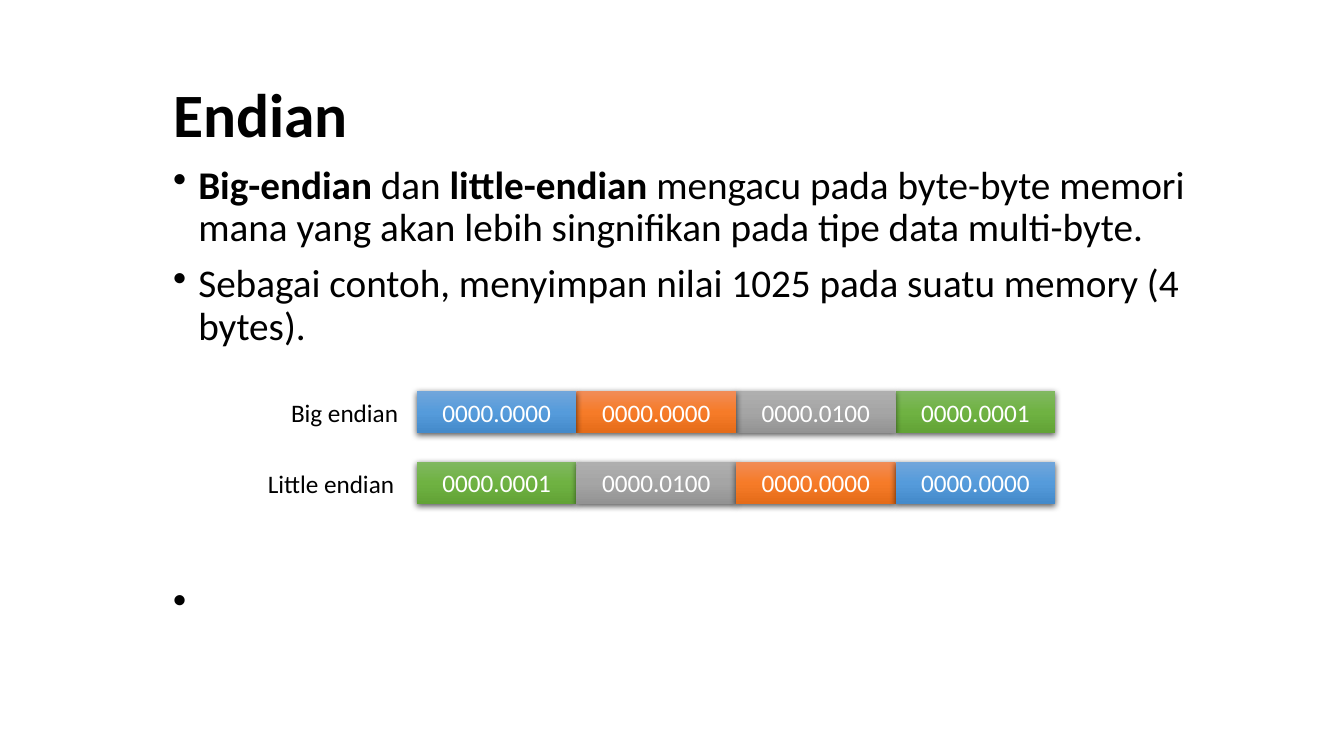
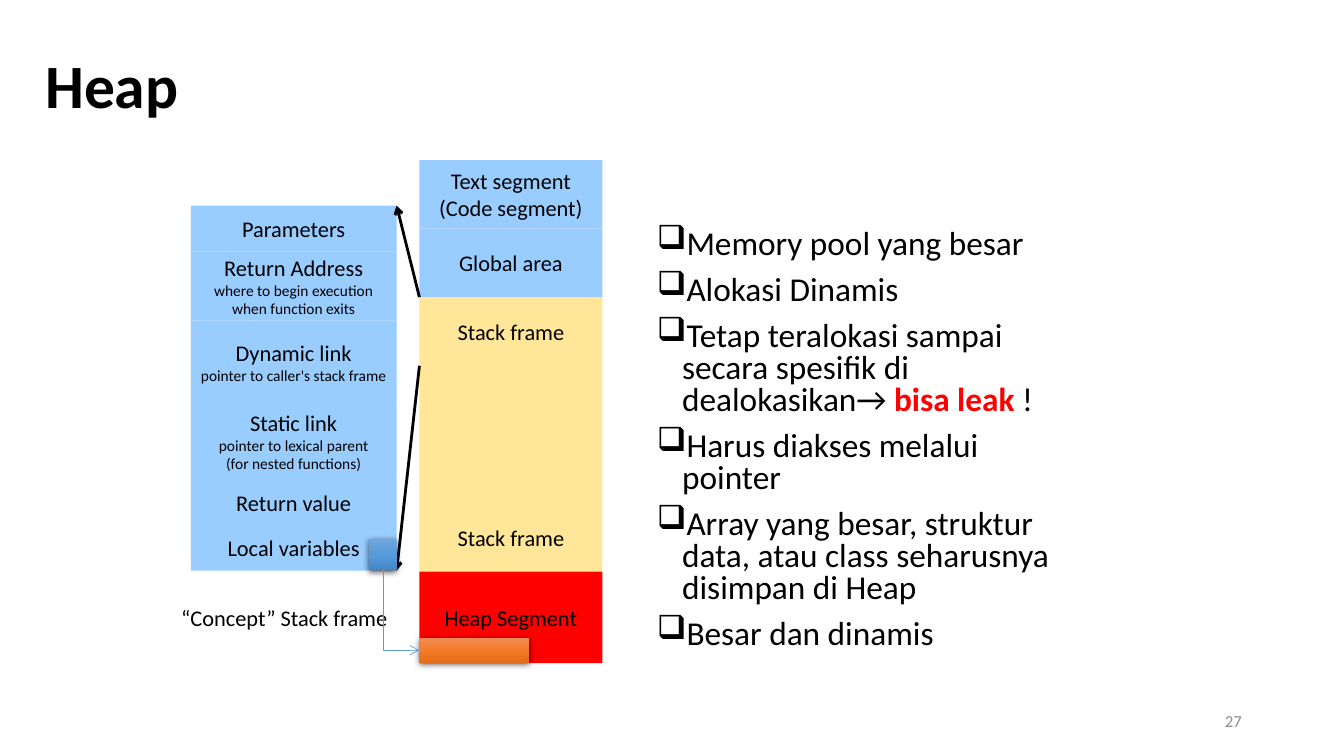
from lxml import etree
from pptx import Presentation
from pptx.dml.color import RGBColor
from pptx.enum import shapes, text
from pptx.oxml import ns
from pptx.util import Pt

FONT = "Calibri"
BLACK, WHITE, RED, GREY = "000000", "FFFFFF", "FF0000", "8C8C8C"
SKY, SAND, LINE_BLUE = "99CCFF", "FFE699", "5B9BD5"
# Top, middle and bottom colour of each glossy block
GREEN_GLOSS = ("81B861", "6FB242", "62A336")
GREY_GLOSS = ("AFAFAF", "A5A5A5", "939393")
ORANGE_GLOSS = ("F18C57", "F67B28", "E56C19")
BLUE_GLOSS = ("71A6DB", "559BDB", "448ACA")
LEFT, CENTER, RIGHT = text.PP_ALIGN.LEFT, text.PP_ALIGN.CENTER, text.PP_ALIGN.RIGHT
TOP, MIDDLE = text.MSO_ANCHOR.TOP, text.MSO_ANCHOR.MIDDLE


def color(value):
    return RGBColor.from_string(value)


def add_xml(parent, tag, **attributes):
    element = etree.SubElement(parent, ns.qn(tag))
    for name, value in attributes.items():
        element.set(name, str(value))
    return element


# Text

def add_span(para, words, size, fill=BLACK, bold=False):
    span = para.add_run()
    span.text = words
    for name, value in {"name": FONT, "size": Pt(size), "bold": bold}.items():
        setattr(span.font, name, value)
    span.font.color.rgb = color(fill)


def write(box, paragraphs, align=LEFT, anchor=TOP, spacing=None, bullet=None):
    """Each paragraph is (space before, [(words, size, colour, bold), ...])."""
    frame = box.text_frame
    frame.word_wrap = True
    frame.vertical_anchor = anchor
    for index, (before, spans) in enumerate(paragraphs):
        para = frame.paragraphs[0] if index == 0 else frame.add_paragraph()
        layout = {"alignment": align, "line_spacing": spacing,
                  "space_before": Pt(before if index else 0)}
        for name, value in layout.items():
            setattr(para, name, value)
        if bullet:
            properties = para._p.get_or_add_pPr()
            properties.set("marL", str(Pt(18)))
            properties.set("indent", str(-Pt(18)))
            add_xml(properties, "a:buChar", char=bullet)
        for span in spans:
            add_span(para, *span)


def add_text(page, bounds, paragraphs, **layout):
    box = page.shapes.add_textbox(*map(Pt, bounds))
    write(box, paragraphs, **layout)
    return box


def add_title(page, bounds, words):
    add_text(page, bounds, [(0, [(words, 44, BLACK, True)])],
             anchor=MIDDLE, spacing=0.9)


# Blocks

def add_block(page, bounds, fill=None):
    block = page.shapes.add_shape(shapes.MSO_SHAPE.RECTANGLE, *map(Pt, bounds))
    block.shadow.inherit = False
    block.line.fill.background()
    if fill:
        block.fill.solid()
        block.fill.fore_color.rgb = color(fill)
    return block


def add_glossy_block(page, bounds, gloss):
    block = add_block(page, bounds)
    block.fill.gradient()
    block.fill.gradient_angle = 270
    properties = block._element.spPr
    stops = properties.find(".//" + ns.qn("a:gsLst"))
    for stop in list(stops):
        stops.remove(stop)
    for index, value in enumerate(gloss):
        stop = add_xml(stops, "a:gs", pos=index * 50000)
        add_xml(stop, "a:srgbClr", val=value)
    effects = properties.find(ns.qn("a:effectLst"))
    shadow = add_xml(effects, "a:outerShdw", blurRad=Pt(4.5), dist=Pt(1.5),
                     dir=5400000, algn="ctr", rotWithShape=0)
    add_xml(add_xml(shadow, "a:srgbClr", val=BLACK), "a:alpha", val=63000)
    return block


def add_stack(page, left, top, width, cells):
    """Pile up cells of (height, colour, lines); return their blocks."""
    blocks = []
    for height, fill, lines in cells:
        block = add_block(page, (left, top, width, height), fill)
        if lines:
            write(block, [(0, [line]) for line in lines], CENTER, MIDDLE)
        blocks.append(block)
        top += height
    return blocks


# Arrows

def add_arrow(page, kind, ends, fill, width):
    arrow = page.shapes.add_connector(kind, *ends)
    arrow.line.width = Pt(width)
    arrow.line.color.rgb = color(fill)
    add_xml(arrow.line._get_or_add_ln(), "a:tailEnd", type="arrow")
    add_xml(arrow._element.spPr, "a:effectLst")
    return arrow


def add_corner_arrow(page, source, target):
    """Go down from the source, then right into the target."""
    arrow = add_arrow(page, shapes.MSO_CONNECTOR.ELBOW, (0, 0, 0, 0), LINE_BLUE, 0.5)
    arrow.begin_connect(source, 2)
    arrow.end_connect(target, 1)
    start_x, start_y = source.left + source.width // 2, source.top + source.height
    end_x, end_y = target.left, target.top + target.height // 2
    across, down = end_x - start_x, end_y - start_y
    place = {"left": (start_x + end_x - down) // 2,
             "top": (start_y + end_y - across) // 2,
             "width": down, "height": across}
    for name, value in place.items():
        setattr(arrow, name, value)
    properties = arrow._element.spPr
    frame = properties.find(ns.qn("a:xfrm"))
    frame.attrib.pop("flipV", None)
    frame.set("rot", "16200000")
    frame.set("flipH", "1")
    properties.find(ns.qn("a:prstGeom")).set("prst", "bentConnector2")


# Slide regions

def add_byte_rows(page, left, top):
    width, height, pitch = 114, 30, 50.4
    # Least significant byte first
    data = [("0000.0001", GREEN_GLOSS), ("0000.0100", GREY_GLOSS),
            ("0000.0000", ORANGE_GLOSS), ("0000.0000", BLUE_GLOSS)]
    rows = [("Little endian", 1, (0, 1, 2, 3), 113.6),
            ("Big endian", 0, (3, 2, 1, 0), 97)]
    for label, row, columns, offset in rows:
        y = top + row * pitch
        for column, (bits, gloss) in zip(columns, data):
            bounds = (left + column * width, y, width, height)
            block = add_glossy_block(page, bounds, gloss)
            write(block, [(0, [(bits, 18, WHITE)])], CENTER, MIDDLE)
        add_text(page, (left - offset, y + 1, offset, 29), [(0, [(label, 18)])])


def add_memory_map(page, left, top):
    # Detail of one stack frame
    def detail(height, name, *notes):
        return height, SKY, [(name, 16)] + [(note, 11) for note in notes]

    frame = add_stack(page, left, top + 32.6, 147, [
        detail(32.7, "Parameters"),
        detail(49.3, "Return Address", "where to begin execution",
               "when function exits"),
        detail(59, "Dynamic link", "pointer to caller's stack frame"),
        detail(54.4, "Static link", "pointer to lexical parent",
               "(for nested functions)"),
        detail(32.7, "Return value"),
        detail(32.7, "Local variables")])
    add_text(page, (left - 14, top + 314, 176, 26),
             [(0, [("“Concept” Stack frame", 16)])])

    # Whole memory
    unit = 49
    memory = add_stack(page, left + 163.3, top, 130.7, [
        (unit, SKY, [("Text segment", 16), ("(Code segment)", 16)]),
        (unit, SKY, [("Global area", 16)]),
        (unit, SAND, [("Stack frame", 16)]),
        (2 * unit, SAND, []),
        (unit, SAND, [("Stack frame", 16)]),
        (65.4, RED, [("Heap Segment", 16)])])

    # Zoom lines from the stack frame to its detail
    source, edge = memory[2], frame[0].left + frame[0].width
    bottom = frame[-1].top + frame[-1].height
    for start_y, end_y in ((source.top, frame[0].top),
                           (source.top + source.height, bottom)):
        add_arrow(page, shapes.MSO_CONNECTOR.STRAIGHT,
                  (source.left, start_y, edge, end_y), BLACK, 0)

    # Pointer into the heap
    pointer = add_glossy_block(page, (left + 127.4, top + 270.7, 19.6, 22.4), BLUE_GLOSS)
    target = add_glossy_block(page, (left + 163.3, top + 341.4, 78.6, 17.6), ORANGE_GLOSS)
    add_corner_arrow(page, pointer, target)


def build_endian(page):
    add_title(page, (116.6, 54, 789, 60.5), "Endian")
    size = 28
    add_text(page, (116.6, 114.5, 789, 341.3), [
        (0, [("Big-endian ", size, BLACK, True), ("dan ", size),
             ("little-endian ", size, BLACK, True),
             ("mengacu pada byte-byte memori mana yang akan lebih singnifikan "
              "pada tipe data multi-byte.", size)]),
        (10, [("Sebagai contoh, menyimpan nilai 1025 pada suatu memory "
               "(4 bytes).", size)]),
        (170, [(" ", size)])], spacing=0.9, bullet="•")
    add_byte_rows(page, 297.8, 279.4)


def build_heap(page):
    add_title(page, (25.2, 10.8, 790.6, 104.4), "Heap")
    size = 23.8
    points = [
        [("Memory pool yang besar", size)],
        [("Alokasi Dinamis", size)],
        [("Tetap teralokasi sampai secara spesifik di dealokasikan→ ", size),
         ("bisa leak ", size, RED, True), ("!", size)],
        [("Harus diakses melalui pointer", size)],
        [("Array yang besar, struktur data, atau class seharusnya disimpan "
          "di Heap", size)],
        [("Besar dan dinamis", size)]]
    add_text(page, (462.2, 160.6, 311.8, 311), [(10, spans) for spans in points],
             spacing=0.8, bullet="❑")
    add_text(page, (678.2, 500.4, 216, 28.8), [(0, [("27", 12, GREY)])],
             align=RIGHT, anchor=MIDDLE)
    add_memory_map(page, 136.3, 114.3)


def main():
    deck = Presentation()
    deck.slide_width, deck.slide_height = Pt(960), Pt(540)
    for build in (build_endian, build_heap):
        build(deck.slides.add_slide(deck.slide_layouts[6]))
    deck.save("out.pptx")


if __name__ == "__main__":
    main()
